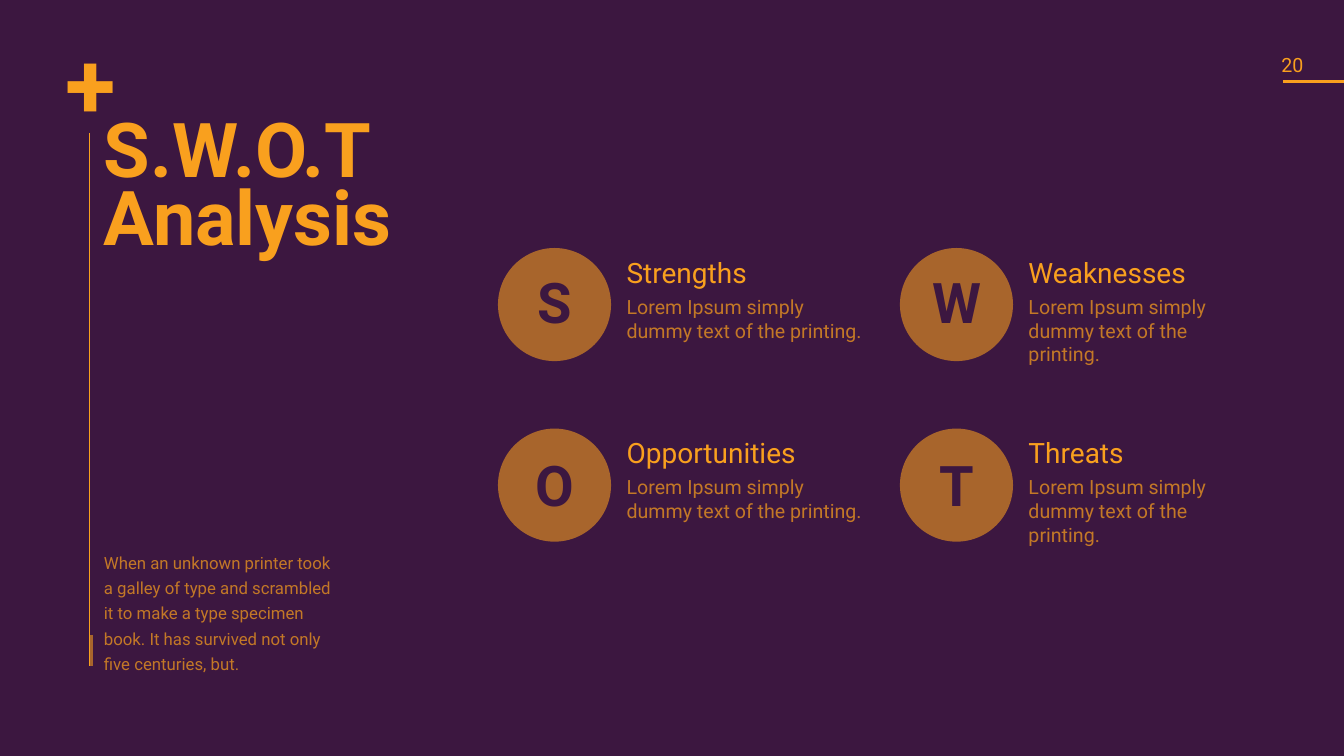
from lxml import etree
from pptx import Presentation
from pptx.dml.color import RGBColor
from pptx.enum.shapes import MSO_CONNECTOR, MSO_SHAPE
from pptx.enum.text import MSO_ANCHOR, MSO_AUTO_SIZE, PP_ALIGN
from pptx.oxml.ns import qn
from pptx.util import Cm, Pt

STRAIGHT = MSO_CONNECTOR.STRAIGHT
OVAL = MSO_SHAPE.OVAL
TOP, MIDDLE = MSO_ANCHOR.TOP, MSO_ANCHOR.MIDDLE
GROW, FIXED = MSO_AUTO_SIZE.SHAPE_TO_FIT_TEXT, MSO_AUTO_SIZE.NONE
LEFT, CENTER = PP_ALIGN.LEFT, PP_ALIGN.CENTER

COLORS = {"plum": "3C1740", "orange": "F9A01E", "bronze": "A8652C", "amber": "C37827"}
FONT = "Roboto"

TITLE = "S.W.O.T\vAnalysis"
INTRO = ("When an unknown printer took a galley of type and scrambled it to make "
         "a type specimen book. It has survived not only five centuries, but.")
PAGE_NUMBER = "20"
DETAIL = "Lorem Ipsum simply dummy text of the printing."
QUADRANTS = [
    [("S", "Strengths"), ("W", "Weaknesses")],
    [("O", "Opportunities"), ("T", "Threats")],
]

COLUMNS = [(12.55, 6.38), (22.68, 6.1)]
ROWS = [(6.25, 7.06), (10.8, 11.66)]
DISC = 2.85
LETTER_WIDTH, LETTER_HEIGHT = 2.01, 1.37
TEXT_DX, TEXT_DY, TEXT_HEIGHT = 3.11, 0.3, 2.18
MARGIN_LEFT = 2.49
RULES = [
    (32.33, 2.06, 33.87, 2.06, "orange", 2),
    (2.26, 3.35, 2.26, 16.79, "orange", 0.75),
    (2.31, 16, 2.31, 16.79, "bronze", 2),
]


def color(name):
    """Return the named palette colour."""
    return RGBColor.from_string(COLORS[name])


def add_text(shapes, box, lines, spacing, inset=0.13, anchor=TOP, align=LEFT,
             wrap=True, fit=GROW):
    """Add a text box whose lines are (text, size, colour, bold)."""
    textbox = shapes.add_textbox(*map(Cm, box))
    frame = textbox.text_frame
    frame.word_wrap, frame.auto_size, frame.vertical_anchor = wrap, fit, anchor
    frame.margin_left = frame.margin_right = Cm(inset)
    frame.margin_top = frame.margin_bottom = Cm(inset)
    for index, (text, size, tint, bold) in enumerate(lines):
        paragraph = frame.add_paragraph() if index else frame.paragraphs[0]
        paragraph.text = text
        paragraph.alignment = align
        paragraph.line_spacing = spacing
        if index:
            paragraph.space_before = Pt(4)
        for run in paragraph.runs:
            run.font.name, run.font.size, run.font.bold = FONT, Pt(size), bold
            run.font.color.rgb = color(tint)


def add_rule(shapes, x1, y1, x2, y2, tint, width):
    """Add a straight line without a shadow."""
    rule = shapes.add_connector(STRAIGHT, *map(Cm, (x1, y1, x2, y2)))
    rule.line.color.rgb = color(tint)
    rule.line.width = Pt(width)
    etree.SubElement(rule._element.spPr, qn("a:effectLst"))


def add_quadrant(shapes, column, row, letter, heading):
    """Add one grouped disc with its letter, heading and detail."""
    left, text_width = column
    top, letter_top = row
    quadrant = shapes.add_group_shape().shapes
    disc = quadrant.add_shape(OVAL, Cm(left), Cm(top), Cm(DISC), Cm(DISC))
    disc.shadow.inherit = False
    disc.fill.solid()
    disc.fill.fore_color.rgb = color("bronze")
    disc.line.fill.background()
    letter_left = left + (DISC - LETTER_WIDTH) / 2
    add_text(quadrant, (letter_left, letter_top, LETTER_WIDTH, LETTER_HEIGHT),
             [(letter, 40, "plum", True)], 0.8, inset=0, anchor=MIDDLE, align=CENTER)
    add_text(quadrant, (left + TEXT_DX, top + TEXT_DY, text_width, TEXT_HEIGHT),
             [(heading, 20, "orange", False), (DETAIL, 14, "amber", False)], Pt(17))


def main():
    """Build the slide and save it."""
    deck = Presentation()
    deck.slide_width, deck.slide_height = Cm(33.87), Cm(19.05)
    slide = deck.slides.add_slide(deck.slide_layouts[6])
    slide.background.fill.solid()
    slide.background.fill.fore_color.rgb = color("plum")
    shapes = slide.shapes

    add_text(shapes, (1.52, 1.07, 1.55, 2.97), [("+", 66, "orange", True)], 0.8, wrap=False)
    add_text(shapes, (32.11, 1.17, 0.94, 0.91), [(PAGE_NUMBER, 14, "orange", False)], 1.0,
             inset=0.18, anchor=MIDDLE, wrap=False)
    add_text(shapes, (MARGIN_LEFT, 2.97, 12.8, 6.73), [(TITLE, 54, "orange", True)], 0.75,
             fit=FIXED)
    for rule in RULES:
        add_rule(shapes, *rule)
    add_text(shapes, (MARGIN_LEFT, 13.67, 6.1, 3.76), [(INTRO, 12, "amber", False)], 1.25)
    for row, pair in zip(ROWS, QUADRANTS):
        for column, (letter, heading) in zip(COLUMNS, pair):
            add_quadrant(shapes, column, row, letter, heading)
    deck.save("out.pptx")


if __name__ == "__main__":
    main()
